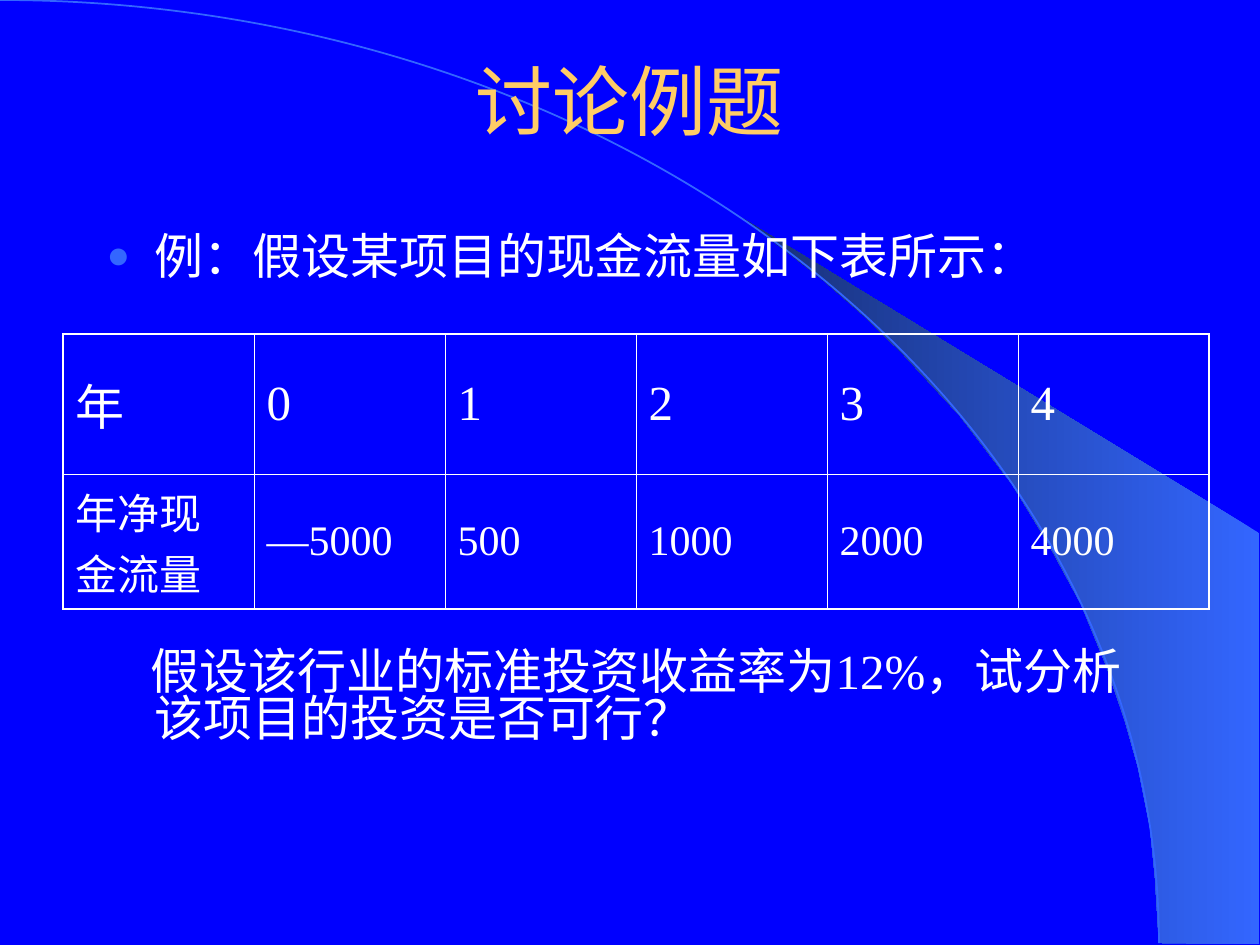
import dataclasses
import pptx
import pptx.dml.color
import pptx.enum.dml
import pptx.enum.shapes
import pptx.enum.text
import pptx.oxml
import pptx.oxml.ns
import pptx.util

Color = pptx.dml.color.RGBColor
Pt = pptx.util.Pt
qn = pptx.oxml.ns.qn

BLUE = Color(0x00, 0x00, 0xFF)
SKY = Color(0x33, 0x66, 0xFF)
NAVY = Color(0x17, 0x2F, 0x75)
GOLD = Color(0xFF, 0xCC, 0x66)
WHITE = Color(0xFF, 0xFF, 0xFF)
SERIF = "Times New Roman"
SCALE = 914400 / 126
THIN, THICK = 0.45, 1.08


@dataclasses.dataclass
class Para:
    text: str
    indent: int
    before: int
    bullet: bool


@dataclasses.dataclass
class Row:
    high: int
    size: int
    before: int
    texts: list[str]


PARAS = [
    Para("例：假设某项目的现金流量如下表所示：", -48, 7, True),
    Para("假设该行业的标准投资收益率为12%，试分析该项目的投资是否可行？", -4, 210, False),
]
ROWS = [
    Row(140, 28, 7, ["年", "0", "1", "2", "3", "4"]),
    Row(135, 24, 6, ["年净现金流量", "—5000", "500", "1000", "2000", "4000"]),
]
BEAM = [
    (1159, 943), (1259, 944), (1259, 533), (742, 218), (786, 251),
    (823, 280), (863, 315), (902, 353), (960, 416), (1012, 484),
    (1048, 543), (1081, 604), (1106, 665), (1125, 721), (1138, 767),
    (1150, 827), (1155, 877),
]


def px(n: float) -> int:
    return round(n * SCALE)


def place(shape, left: int, top: int, wide: int, high: int) -> None:
    shape.left, shape.top = px(left), px(top)
    shape.width, shape.height = px(wide), px(high)


def style(para, name: str, size: int, color: Color) -> None:
    font = para.font
    font.name, font.size, font.color.rgb = name, Pt(size), color


def add(parent, tag: str, **attrs: str):
    node = parent.makeelement(qn(tag), attrs)
    parent.append(node)
    return node


def mark(para, item: Para) -> None:
    props = para._p.get_or_add_pPr()
    props.set("marL", str(px(48)))
    props.set("indent", str(px(item.indent)))
    if item.bullet:
        add(add(props, "a:buClr"), "a:srgbClr", val=str(SKY))
        add(props, "a:buSzPct", val="80000")
        add(props, "a:buChar", char="●")
    else:
        add(props, "a:buNone")


def edge(cell, side: str, width: float) -> None:
    line = add(cell._tc.get_or_add_tcPr(), "a:" + side, w=str(Pt(width)))
    add(add(line, "a:solidFill"), "a:srgbClr", val=str(WHITE))


deck = pptx.Presentation()
deck.slide_width, deck.slide_height = px(1260), px(945)
slide = deck.slides.add_slide(deck.slide_layouts[1])
slide.background.fill.solid()
slide.background.fill.fore_color.rgb = BLUE
shapes = slide.shapes
title, body = shapes.title, slide.placeholders[1]

# Light beam
pen = shapes.build_freeform(*BEAM[0], scale=SCALE)
pen.add_line_segments(BEAM[1:], close=True)
beam = pen.convert_to_shape()
beam.shadow.inherit = False
beam.line.fill.background()
beam.fill.gradient()
beam.fill.gradient_angle = 180
for stop, color in zip(beam.fill.gradient_stops, (SKY, NAVY)):
    stop.color.rgb = color

# Quarter arc
arc = shapes.add_shape(
    pptx.enum.shapes.MSO_SHAPE.ARC, px(-1159), 0, px(2318), px(1886))
arc.shadow.inherit = False
arc.fill.background()
arc.line.color.rgb = SKY
arc.line.width = Pt(1)

# Placeholders go in front of the backdrop
for holder in (title, body):
    shapes._spTree.append(holder._element)
    holder.text_frame.auto_size = pptx.enum.text.MSO_AUTO_SIZE.NONE

# Title
place(title, 94, 21, 1071, 158)
title.text_frame.text = "讨论例题"
title.text_frame.vertical_anchor = pptx.enum.text.MSO_ANCHOR.MIDDLE
style(title.text_frame.paragraphs[0], "Arial", 44, GOLD)

# Body text, parted by the room for the table
place(body, 94, 231, 1071, 567)
frame = body.text_frame
frame.text = "\n".join(item.text for item in PARAS)
for para, item in zip(frame.paragraphs, PARAS):
    para.line_spacing = 0.8
    para.space_before = Pt(item.before)
    mark(para, item)
    style(para, SERIF, 28, WHITE)

# Cash flow table
count = len(ROWS[0].texts)
table = shapes.add_table(
    len(ROWS), count, px(63), px(334), px(191 * count),
    px(sum(row.high for row in ROWS))).table
table.first_row = table.horz_banding = False
for col in table.columns:
    col.width = px(191)
for r, row in enumerate(ROWS):
    table.rows[r].height = px(row.high)
    for c, text in enumerate(row.texts):
        cell = table.cell(r, c)
        cell.text = text
        cell.vertical_anchor = pptx.enum.text.MSO_ANCHOR.MIDDLE
        para = cell.text_frame.paragraphs[0]
        para.space_before = Pt(row.before)
        style(para, SERIF, row.size, WHITE)
        outer = {"lnL": c == 0, "lnR": c == count - 1,
                 "lnT": r == 0, "lnB": r == len(ROWS) - 1}
        for side, rim in outer.items():
            edge(cell, side, THICK if rim else THIN)
        cell.fill.background()

deck.save("out.pptx")
